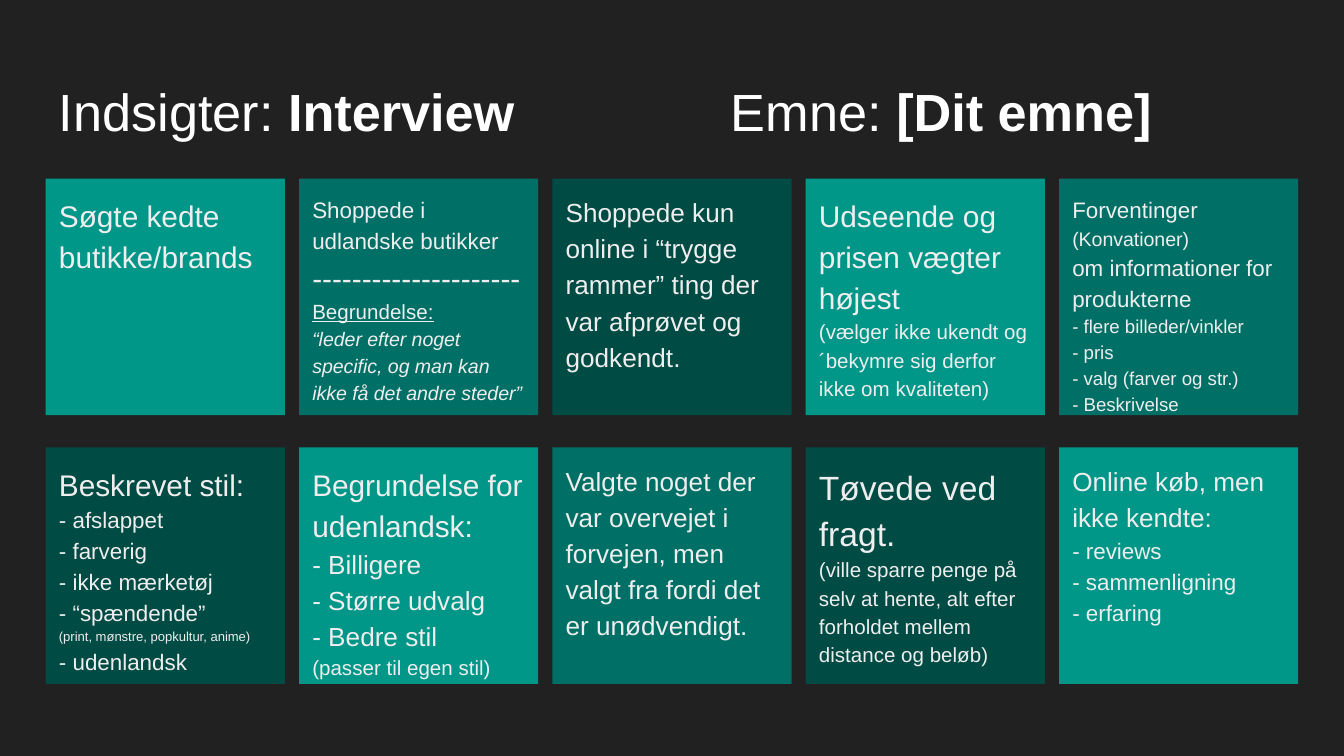
from copy import deepcopy
from dataclasses import dataclass

from lxml.etree import SubElement
from pptx import Presentation
from pptx.dml.color import RGBColor
from pptx.enum.shapes import MSO_SHAPE
from pptx.enum.text import MSO_ANCHOR, PP_ALIGN
from pptx.oxml.ns import qn
from pptx.slide import Slide
from pptx.text.text import TextFrame, _Paragraph
from pptx.util import Inches, Pt

BACKGROUND = RGBColor(0x21, 0x21, 0x21)
WHITE = RGBColor(0xFF, 0xFF, 0xFF)
PALE = RGBColor(0xEE, 0xEE, 0xEE)
TEALS = (
    RGBColor(0x00, 0x96, 0x88),
    RGBColor(0x00, 0x70, 0x66),
    RGBColor(0x00, 0x4B, 0x44),
)

SLIDE_WIDTH = Inches(10)
SLIDE_HEIGHT = SLIDE_WIDTH * 9 // 16
COLUMNS = 5
LEFT, TOP = 0.34, 1.33
CARD_WIDTH, CARD_HEIGHT = 1.78, 1.76
CONTENT_WIDTH = 9.32
COLUMN_STEP = (CONTENT_WIDTH - CARD_WIDTH) / (COLUMNS - 1)
ROW_STEP = 2
HEADING_TABS = (4, 5)


@dataclass(frozen=True)
class Passage:
    text: str
    size: float
    bold: bool = False
    italic: bool = False
    underline: bool = False


HEADING = (
    Passage("Indsigter:", 28),
    Passage(" Interview\t\t", 28, bold=True),
    Passage("Emne:", 28),
    Passage(" [Dit emne]", 28, bold=True),
)

INSIGHTS = (
    (Passage("Søgte kedte butikke/brands", 16),),
    (
        Passage("Shoppede i udlandske butikker\n", 12),
        Passage("---------------------\n", 16),
        Passage("Begrundelse:\n", 11, underline=True),
        Passage("“leder efter noget specific, og man kan ikke få det andre steder”", 10.5, italic=True),
    ),
    (Passage("Shoppede kun online i “trygge rammer” ting der var afprøvet og godkendt.", 14),),
    (
        Passage("Udseende og prisen vægter højest\n", 16),
        Passage("(vælger ikke ukendt og ´bekymre sig derfor ikke om kvaliteten)", 11),
    ),
    (
        Passage("Forventinger ", 12),
        Passage("(Konvationer)\n", 10.5),
        Passage("om informationer for produkterne\n", 12),
        Passage("- flere billeder/vinkler\n- pris\n- valg (farver og str.)\n- Beskrivelse", 10),
    ),
    (
        Passage("Beskrevet stil:\n", 16),
        Passage("- afslappet\n- farverig\n- ikke mærketøj\n- “spændende”\n", 12),
        Passage("(print, mønstre, popkultur, anime)\n", 7),
        Passage("- udenlandsk", 12),
    ),
    (
        Passage("Begrundelse for udenlandsk:\n", 16),
        Passage("- Billigere\n- Større udvalg\n- Bedre stil\n", 14),
        Passage("(passer til egen stil)", 11),
    ),
    (Passage("Valgte noget der var overvejet i forvejen, men valgt fra fordi det er unødvendigt.", 14),),
    (
        Passage("Tøvede ved fragt.\n", 18),
        Passage("(ville sparre penge på selv at hente, alt efter forholdet mellem distance og beløb)", 11),
    ),
    (
        Passage("Online køb, men ikke kendte:\n", 14),
        Passage("- reviews\n- sammenligning\n- erfaring", 12),
    ),
)


def add_text(paragraph: _Paragraph, text: str, *, size: float, color: RGBColor,
             bold: bool = False, italic: bool = False, underline: bool = False) -> None:
    """Append formatted text, giving each line break the format of its line."""
    lines = text.split("\n")
    for number, line in enumerate(lines, start=1):
        if not line:
            continue
        run = paragraph.add_run()
        run.text = line
        font = run.font
        font.name, font.size, font.color.rgb = "Arial", Pt(size), color
        font.bold, font.italic, font.underline = bold, italic, underline
        if number < len(lines):
            paragraph.add_line_break()
            paragraph._p[-1].append(deepcopy(run._r.rPr))


def fill_frame(frame: TextFrame, passages: tuple[Passage, ...], color: RGBColor) -> _Paragraph:
    """Set up a text frame and write its passages as one paragraph."""
    frame.word_wrap = True
    frame.vertical_anchor = MSO_ANCHOR.TOP
    frame.margin_left = frame.margin_right = Inches(0.1)
    frame.margin_top = frame.margin_bottom = Inches(0.1)
    paragraph = frame.paragraphs[0]
    paragraph.alignment = PP_ALIGN.LEFT
    for passage in passages:
        add_text(paragraph, passage.text, size=passage.size, color=color, bold=passage.bold,
                 italic=passage.italic, underline=passage.underline)
    return paragraph


def add_heading(slide: Slide) -> None:
    """Write the heading with its topic aligned on tab stops."""
    heading = slide.shapes.add_textbox(Inches(LEFT), Inches(0.49), Inches(CONTENT_WIDTH), Inches(0.63))
    paragraph = fill_frame(heading.text_frame, HEADING, WHITE)
    stops = SubElement(paragraph._p.get_or_add_pPr(), qn("a:tabLst"))
    for position in HEADING_TABS:
        SubElement(stops, qn("a:tab"), pos=str(Inches(position)), algn="l")


def add_card(slide: Slide, index: int, passages: tuple[Passage, ...]) -> None:
    """Draw one insight card at its place in the grid."""
    row, column = divmod(index, COLUMNS)
    card = slide.shapes.add_shape(
        MSO_SHAPE.RECTANGLE,
        Inches(LEFT + column * COLUMN_STEP), Inches(TOP + row * ROW_STEP),
        Inches(CARD_WIDTH), Inches(CARD_HEIGHT),
    )
    card.shadow.inherit = False
    card.fill.solid()
    card.fill.fore_color.rgb = TEALS[index % len(TEALS)]
    card.line.fill.background()
    paragraph = fill_frame(card.text_frame, passages, PALE)
    paragraph.line_spacing = 1.15
    paragraph.space_after = Pt(16)


def main() -> None:
    """Build the interview insights slide."""
    presentation = Presentation()
    presentation.slide_width, presentation.slide_height = SLIDE_WIDTH, SLIDE_HEIGHT
    slide = presentation.slides.add_slide(presentation.slide_layouts[6])
    slide.background.fill.solid()
    slide.background.fill.fore_color.rgb = BACKGROUND
    add_heading(slide)
    for index, passages in enumerate(INSIGHTS):
        add_card(slide, index, passages)
    presentation.save("out.pptx")


if __name__ == "__main__":
    main()
